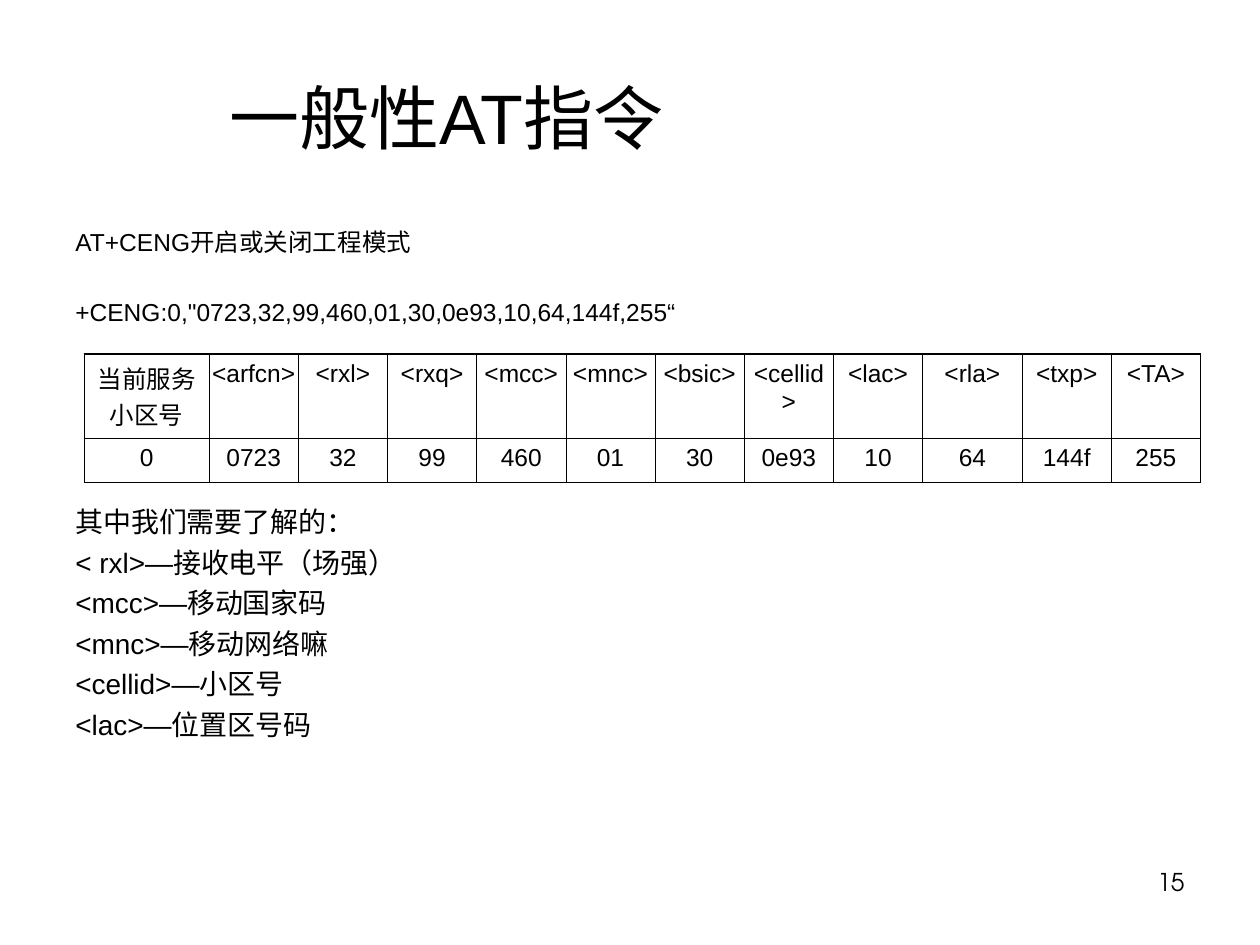
from dataclasses import dataclass

from lxml import etree
from pptx import Presentation
from pptx.dml.color import RGBColor
from pptx.enum.text import MSO_ANCHOR, PP_ALIGN
from pptx.oxml.ns import qn
from pptx.util import Inches, Pt

LEFT, CENTER, RIGHT = PP_ALIGN.LEFT, PP_ALIGN.CENTER, PP_ALIGN.RIGHT
TOP, MIDDLE = MSO_ANCHOR.TOP, MSO_ANCHOR.MIDDLE


@dataclass(frozen=True)
class Theme:
    ink: str = "000000"
    font: str = "Arial"
    number_font: str = "TeX Gyre Adventor"
    title_size: float = 40
    text_size: float = 14
    note_size: float = 16
    outer_line: float = 1.08
    inner_line: float = 0.45


THEME = Theme()


@dataclass(frozen=True)
class Line:
    text: str
    size: float = THEME.text_size
    space_before: float = 3.5
    font: str = THEME.font


@dataclass(frozen=True)
class Field:
    name: str
    value: str
    width: float | None = None  # None shares the remaining table width


TITLE = Line("一般性AT指令", THEME.title_size, 0)
PAGE_NUMBER = Line("15", THEME.text_size, 0, THEME.number_font)
NOTES = ["< rxl>—接收电平（场强）", "<mcc>—移动国家码", "<mnc>—移动网络嘛",
         "<cellid>—小区号", "<lac>—位置区号码"]
BODY = [
    Line("AT+CENG开启或关闭工程模式"),
    Line('+CENG:0,"0723,32,99,460,01,30,0e93,10,64,144f,255“', space_before=23.1),
    # The wide gap leaves room for the table
    Line("其中我们需要了解的：", THEME.note_size, 102),
    *[Line(note, THEME.note_size, 4) for note in NOTES],
]
FIELDS = [
    Field("当前服务小区号", "0", 0.99), Field("<arfcn>", "0723"),
    Field("<rxl>", "32"), Field("<rxq>", "99"), Field("<mcc>", "460"),
    Field("<mnc>", "01"), Field("<bsic>", "30"), Field("<cellid>", "0e93"),
    Field("<lac>", "10"), Field("<rla>", "64", 0.79),
    Field("<txp>", "144f"), Field("<TA>", "255"),
]
TABLE_WIDTH = 8.86
ROW_HEIGHTS = [0.67, 0.35]


def write_lines(frame, lines: list[Line], align=LEFT) -> None:
    for index, line in enumerate(lines):
        para = frame.add_paragraph() if index else frame.paragraphs[0]
        para.alignment = align
        para.space_before = Pt(line.space_before)
        span = para.add_run()
        span.text = line.text
        span.font.name = line.font
        span.font.size = Pt(line.size)
        span.font.color.rgb = RGBColor.from_string(THEME.ink)


def add_text(page, lines: list[Line], left: float, top: float, width: float,
             height: float, align=LEFT, anchor=TOP, inset: float = 0.1) -> None:
    box = page.shapes.add_textbox(Inches(left), Inches(top), Inches(width), Inches(height))
    frame = box.text_frame
    frame.word_wrap = True
    frame.vertical_anchor = anchor
    frame.margin_left = Inches(inset)
    write_lines(frame, lines, align)


def set_borders(cell, widths: dict[str, float]) -> None:
    properties = cell._tc.get_or_add_tcPr()
    for position, (side, width) in enumerate(widths.items()):
        border = etree.Element(qn(f"a:{side}"), w=str(Pt(width)))
        fill = etree.SubElement(border, qn("a:solidFill"))
        etree.SubElement(fill, qn("a:srgbClr"), val=THEME.ink)
        properties.insert(position, border)


def add_field_table(page, fields: list[Field], left: float, top: float) -> None:
    table = page.shapes.add_table(
        len(ROW_HEIGHTS), len(fields), Inches(left), Inches(top),
        Inches(TABLE_WIDTH), Inches(sum(ROW_HEIGHTS))).table
    table.first_row = table.horz_banding = False
    fixed = [field.width for field in fields if field.width]
    shared = (TABLE_WIDTH - sum(fixed)) / (len(fields) - len(fixed))
    for row, height in zip(table.rows, ROW_HEIGHTS):
        row.height = Inches(height)

    last_column, last_row = len(fields) - 1, len(ROW_HEIGHTS) - 1
    for column, field in enumerate(fields):
        table.columns[column].width = Inches(field.width or shared)
        for row, text in enumerate((field.name, field.value)):
            cell = table.cell(row, column)
            cell.fill.background()
            cell.margin_left = cell.margin_right = Inches(0.02)
            write_lines(cell.text_frame, [Line(text)], CENTER)
            edges = {"lnL": column == 0, "lnR": column == last_column,
                     "lnT": row == 0, "lnB": row == last_row}
            set_borders(cell, {side: THEME.outer_line if outer else THEME.inner_line
                               for side, outer in edges.items()})


def main() -> None:
    deck = Presentation()
    deck.slide_width, deck.slide_height = Inches(10), Inches(7.5)
    page = deck.slides.add_slide(deck.slide_layouts[6])

    # Title and body text
    add_text(page, [TITLE], 0.5, 0.3, 9, 1.25, anchor=MIDDLE, inset=1.32)
    add_text(page, BODY, 0.5, 1.75, 9.3, 4.95)

    # Meaning of each value in the response
    add_field_table(page, FIELDS, 0.67, 2.81)

    # Page number
    add_text(page, [PAGE_NUMBER], 7.17, 6.83, 2.33, 0.52, align=RIGHT)

    deck.save("out.pptx")


if __name__ == "__main__":
    main()
